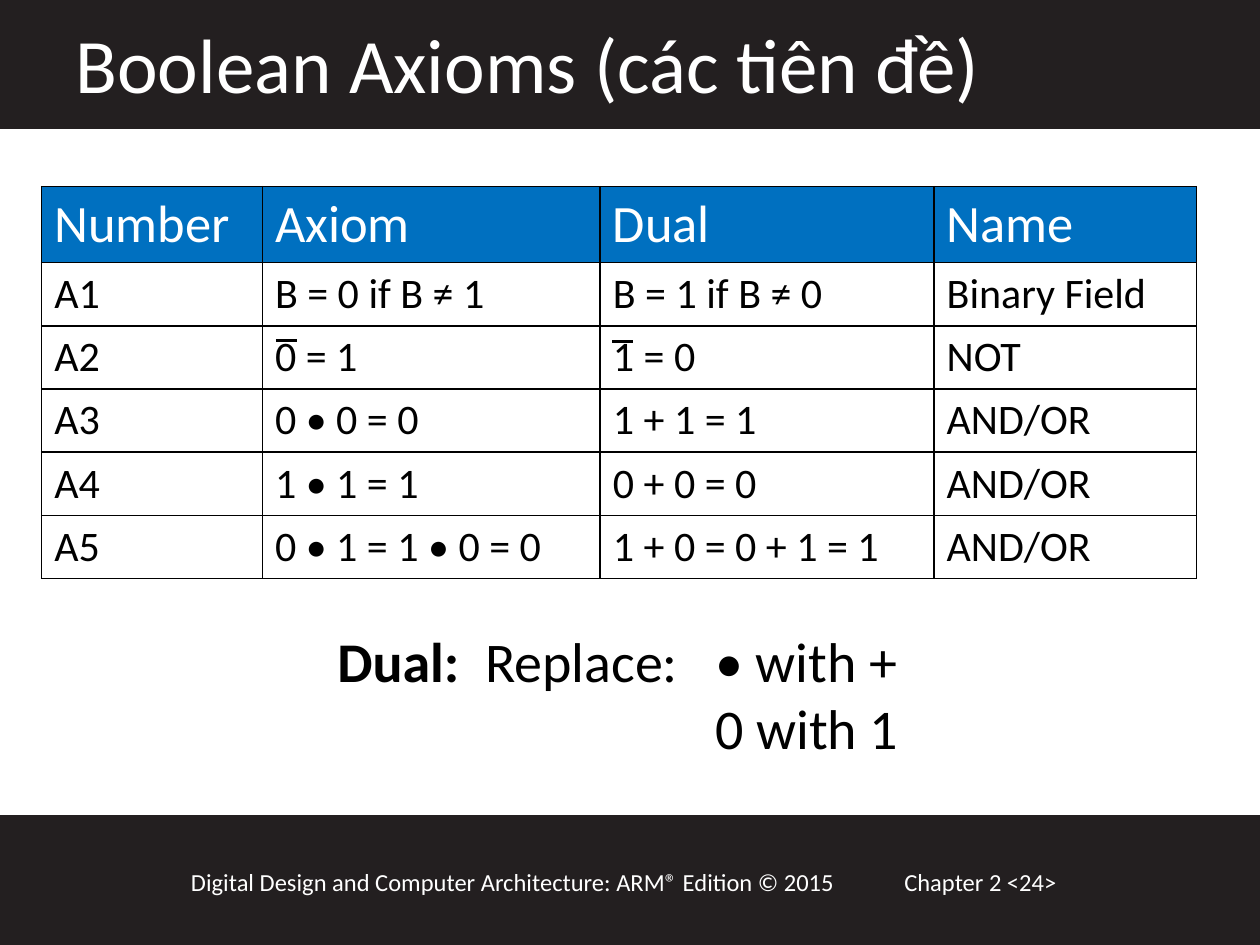
from lxml.etree import SubElement
from pptx import Presentation
from pptx.dml.color import RGBColor
from pptx.enum.shapes import MSO_CONNECTOR, MSO_SHAPE
from pptx.enum.text import MSO_ANCHOR, MSO_AUTO_SIZE, PP_ALIGN
from pptx.oxml.ns import qn
from pptx.util import Cm, Pt

HUES = {"bar": "231F20", "head": "0070C0", "ink": "000000", "paper": "FFFFFF"}
FACE = "Calibri"
WIDE, HIGH = 25.4, 19.05

TITLE = "Boolean Axioms (các tiên đề)"
ROWS = [
    ("Number", "Axiom", "Dual", "Name"),
    ("A1", "B = 0 if B ≠ 1", "B = 1 if B ≠ 0", "Binary Field"),
    ("A2", "0 = 1", "1 = 0", "NOT"),
    ("A3", "0 • 0 = 0", "1 + 1 = 1", "AND/OR"),
    ("A4", "1 • 1 = 1", "0 + 0 = 0", "AND/OR"),
    ("A5", "0 • 1 = 1 • 0 = 0", "1 + 0 = 0 + 1 = 1", "AND/OR"),
]
COLS = (4.45, 6.81, 6.73, 5.29)
NOTE = ["Dual:\tReplace:\t• with +", "\t\t0 with 1"]
TABS = (2.98, 7.62)
BARS = [(0, 2.57), (16.46, 2.59)]
FOOT = [
    (3.6, 14.6, "Digital Design and Computer Architecture: ARM® Edition © 2015"),
    (17.98, 5.51, "Chapter 2 <24>"),
]
NOTS = [(5.56, 6.86), (12.34, 6.88)]


def tint(name):
    """Return a palette colour."""
    return RGBColor.from_string(HUES[name])


def style(para, size, hue):
    """Set the font of every run in a paragraph."""
    for run in para.runs:
        run.font.name, run.font.size = FACE, Pt(size)
        run.font.color.rgb = tint(hue)


def add_bar(slide, top, high):
    """Draw a dark band across the slide."""
    bar = slide.shapes.add_shape(MSO_SHAPE.RECTANGLE, 0, Cm(top), Cm(WIDE), Cm(high))
    bar.shadow.inherit = False
    bar.fill.solid()
    bar.fill.fore_color.rgb = bar.line.color.rgb = tint("bar")
    bar.line.width = Pt(2)


def add_text(slide, left, top, wide, high, lines, size, hue):
    """Add a text box and return its frame."""
    box = slide.shapes.add_textbox(Cm(left), Cm(top), Cm(wide), Cm(high))
    frame = box.text_frame
    frame.word_wrap = True
    frame.text = "\n".join(lines)
    for para in frame.paragraphs:
        style(para, size, hue)
    return frame


def set_title(slide):
    """Place the title above the top band."""
    title = slide.shapes.title
    title.left, title.top, title.width, title.height = Cm(1.27), Cm(0.2), Cm(22.02), Cm(2.13)
    frame = title.text_frame
    frame.text = TITLE
    frame.auto_size = MSO_AUTO_SIZE.NONE
    frame.vertical_anchor = MSO_ANCHOR.MIDDLE
    frame.paragraphs[0].alignment = PP_ALIGN.LEFT
    style(frame.paragraphs[0], 44, "paper")
    title.element.getparent().append(title.element)


def fill_cell(cell, text, head):
    """Write one cell with its borders and fill."""
    cell.text = text
    cell.vertical_anchor = MSO_ANCHOR.MIDDLE
    cell.margin_top = cell.margin_bottom = Cm(0.12)
    style(cell.text_frame.paragraphs[0], 30 if head else 24, "paper" if head else "ink")
    props = cell._tc.get_or_add_tcPr()
    for side in ("lnL", "lnR", "lnT", "lnB"):
        edge = SubElement(props, qn(f"a:{side}"), w=str(Pt(1)))
        SubElement(SubElement(edge, qn("a:solidFill")), qn("a:srgbClr"), val=HUES["ink"])
    cell.fill.solid()
    cell.fill.fore_color.rgb = tint("head" if head else "paper")


def add_grid(slide):
    """Build the table of axioms."""
    tall = [1.52] + [1.27] * (len(ROWS) - 1)
    grid = slide.shapes.add_table(
        len(ROWS), len(COLS), Cm(0.84), Cm(3.76), Cm(sum(COLS)), Cm(sum(tall))
    ).table
    for col, wide in zip(grid.columns, COLS):
        col.width = Cm(wide)
    for r, (row, high) in enumerate(zip(ROWS, tall)):
        grid.rows[r].height = Cm(high)
        for c, text in enumerate(row):
            fill_cell(grid.cell(r, c), text, r == 0)


def add_note(slide):
    """Add the rule for duals, lined up by tab stops."""
    frame = add_text(slide, 6.55, 12.5, 12.19, 3, NOTE, 32, "ink")
    for para in frame.paragraphs:
        stops = SubElement(para._p.get_or_add_pPr(), qn("a:tabLst"))
        for stop in TABS:
            SubElement(stops, qn("a:tab"), pos=str(Cm(stop)), algn="l")
    first = frame.paragraphs[0]
    lead, rest = first.text.split("\t", 1)
    first.runs[0].text = lead
    first.runs[0].font.bold = True
    first.add_run().text = "\t" + rest
    style(first, 32, "ink")


def add_not(slide, left, top):
    """Draw the bar over a negated digit."""
    line = slide.shapes.add_connector(
        MSO_CONNECTOR.STRAIGHT, Cm(left), Cm(top), Cm(left + 0.42), Cm(top)
    )
    line.line.color.rgb = tint("ink")
    line.line.width = Pt(2)
    SubElement(line.element.spPr, qn("a:effectLst"))


def main():
    """Build and save the slide."""
    deck = Presentation()
    deck.slide_width, deck.slide_height = Cm(WIDE), Cm(HIGH)
    slide = deck.slides.add_slide(deck.slide_layouts[5])
    for top, high in BARS:
        add_bar(slide, top, high)
    for left, wide, text in FOOT:
        add_text(slide, left, 17.35, wide, 0.86, [text], 14, "paper")
    set_title(slide)
    add_grid(slide)
    add_note(slide)
    for left, top in NOTS:
        add_not(slide, left, top)
    deck.save("out.pptx")


if __name__ == "__main__":
    main()
